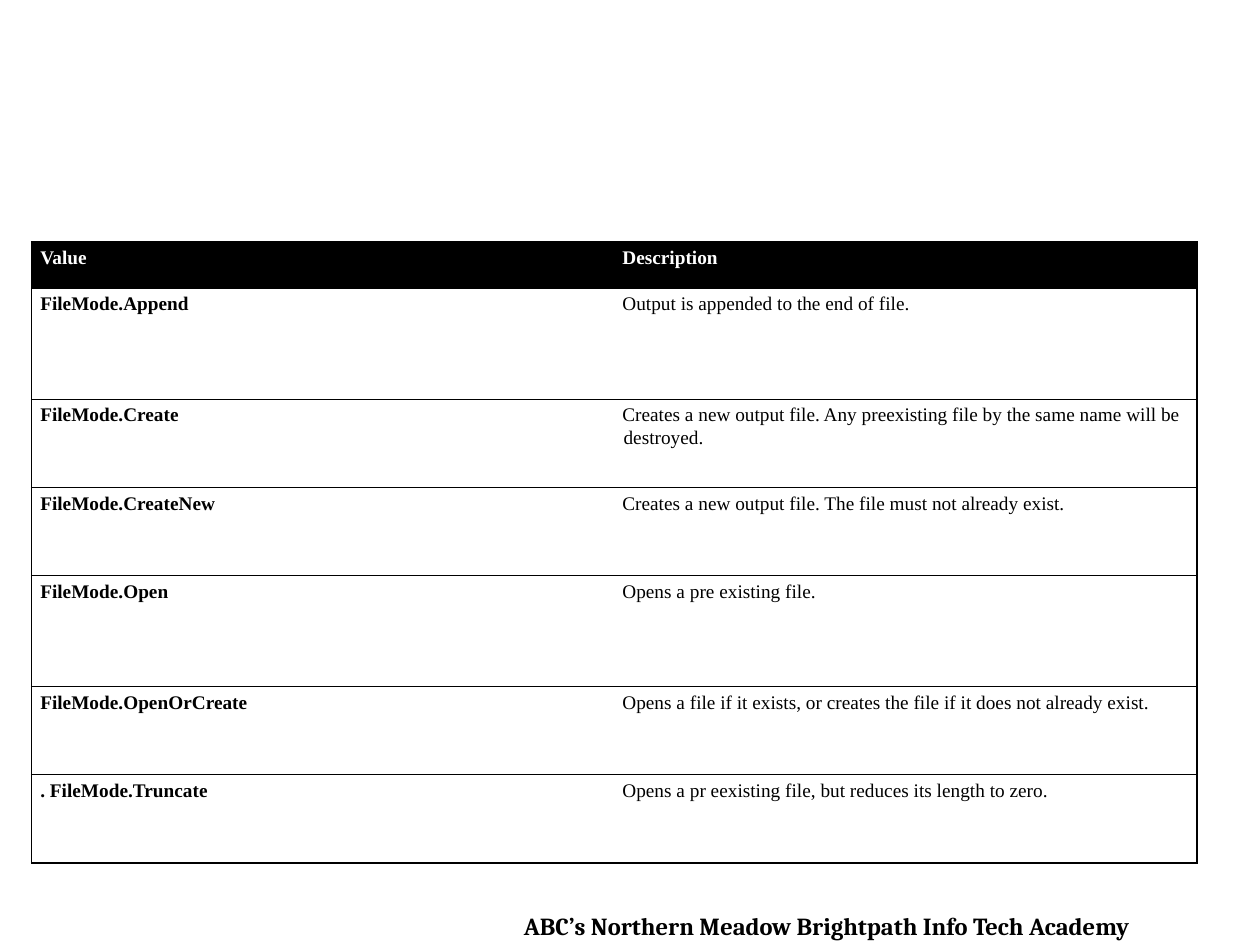
from dataclasses import dataclass

from lxml import etree
from pptx import Presentation
from pptx.dml.color import RGBColor
from pptx.enum.text import MSO_ANCHOR, MSO_AUTO_SIZE, PP_ALIGN
from pptx.oxml.ns import qn
from pptx.util import Inches, Pt

CENTER, LEFT = PP_ALIGN.CENTER, PP_ALIGN.LEFT
TOP = MSO_ANCHOR.TOP
GROW = MSO_AUTO_SIZE.SHAPE_TO_FIT_TEXT
BLANK_LAYOUT = 6


@dataclass(frozen=True)
class Theme:
    """Colours, fonts and sizes of the slide."""
    black: str = "000000"
    white: str = "FFFFFF"
    table_font: str = "Times New Roman"
    footer_font: str = "Cambria"
    table_size: int = 11
    footer_size: int = 14
    border: float = 0.75


THEME = Theme()
COLUMNS = (4.62, 4.63)
ROWS = (
    (0.37, "Value", "Description"),
    (0.88, "FileMode.Append", "Output is appended to the end of file."),
    (0.7, "FileMode.Create", "Creates a new output file. Any preexisting file "
                             "by the same name will be destroyed."),
    (0.7, "FileMode.CreateNew", "Creates a new output file. The file must not already exist."),
    (0.88, "FileMode.Open", "Opens a pre existing file."),
    (0.7, "FileMode.OpenOrCreate", "Opens a file if it exists, or creates the file "
                                   "if it does not already exist."),
    (0.7, ". FileMode.Truncate", "Opens a pr eexisting file, but reduces its length to zero."),
)


def write(tf, text, font, size, color, bold=False, align=LEFT):
    """Write one formatted paragraph and return it."""
    p = tf.paragraphs[0]
    p.alignment = align
    r = p.add_run()
    r.text = text
    r.font.name, r.font.size, r.font.bold = font, Pt(size), bold
    r.font.color.rgb = RGBColor.from_string(color)
    return p


def set_borders(cell, sides):
    """Draw the named sides of a cell and clear the others."""
    tc_pr = cell._tc.get_or_add_tcPr()
    for side in "LRTB":
        ln = etree.SubElement(tc_pr, qn(f"a:ln{side}"), w=str(Pt(THEME.border)))
        if side in sides:
            fill = etree.SubElement(ln, qn("a:solidFill"))
            etree.SubElement(fill, qn("a:srgbClr"), val=THEME.black)
        else:
            etree.SubElement(ln, qn("a:noFill"))


def fill_cell(cell, text, header, first_column):
    """Format one table cell and write its text."""
    set_borders(cell, "LTB" if first_column else "RTB")
    cell.fill.solid()
    cell.fill.fore_color.rgb = RGBColor.from_string(THEME.black if header else THEME.white)
    cell.margin_left, cell.margin_right = Inches(0.07), Inches(0.08)
    cell.margin_top, cell.margin_bottom = Inches(0.03), 0
    cell.vertical_anchor = TOP
    p = write(cell.text_frame, text, THEME.table_font, THEME.table_size,
              THEME.white if header else THEME.black, bold=header or first_column)
    p.line_spacing, p.space_after = 1.07, Pt(8)
    p_pr = p._p.get_or_add_pPr()
    p_pr.set("marL", str(Inches(0.01)))
    p_pr.set("indent", str(Inches(-0.01)))


def add_mode_table(s):
    """Add the table of file modes."""
    height = sum(row[0] for row in ROWS)
    table = s.shapes.add_table(len(ROWS), len(COLUMNS), Inches(0.25), Inches(1.92),
                               Inches(sum(COLUMNS)), Inches(height)).table
    table.first_row = table.horz_banding = False
    for column, width in zip(table.columns, COLUMNS):
        column.width = Inches(width)
    for i, (row_height, *texts) in enumerate(ROWS):
        table.rows[i].height = Inches(row_height)
        for j, text in enumerate(texts):
            fill_cell(table.cell(i, j), text, header=i == 0, first_column=j == 0)


def add_footer(s):
    """Add the academy's name at the foot of the slide."""
    sp = s.shapes.add_textbox(Inches(-0.08), Inches(7.18), Inches(13.33), Inches(0.34))
    tf = sp.text_frame
    tf.word_wrap, tf.auto_size = True, GROW
    write(tf, "ABC’s Northern Meadow Brightpath Info Tech Academy ", THEME.footer_font,
          THEME.footer_size, THEME.black, bold=True, align=CENTER)


def main():
    """Build and save the slide."""
    prs = Presentation()
    prs.slide_width, prs.slide_height = Inches(10), Inches(7.5)
    s = prs.slides.add_slide(prs.slide_layouts[BLANK_LAYOUT])
    add_footer(s)
    add_mode_table(s)
    prs.save("out.pptx")


if __name__ == "__main__":
    main()
